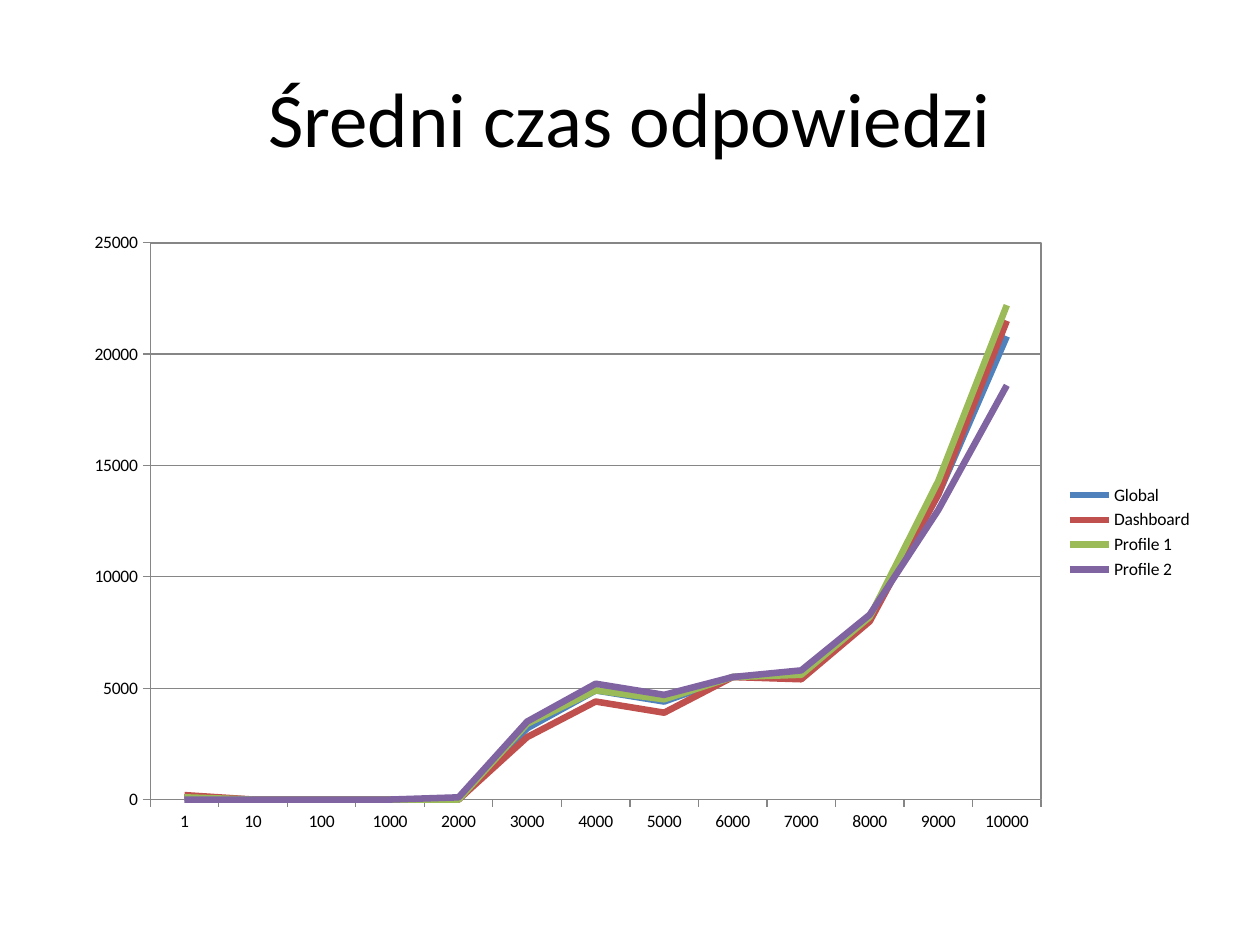
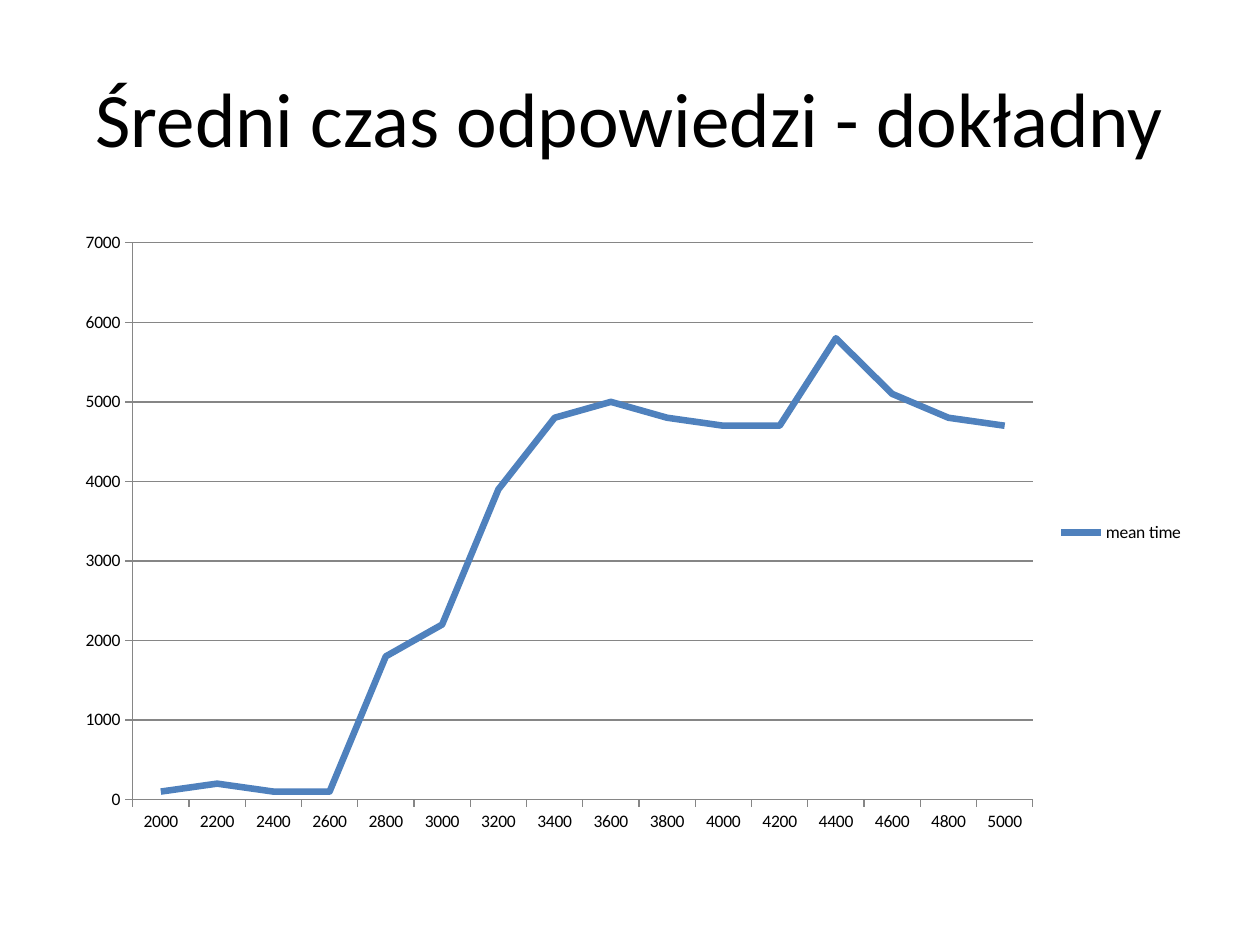
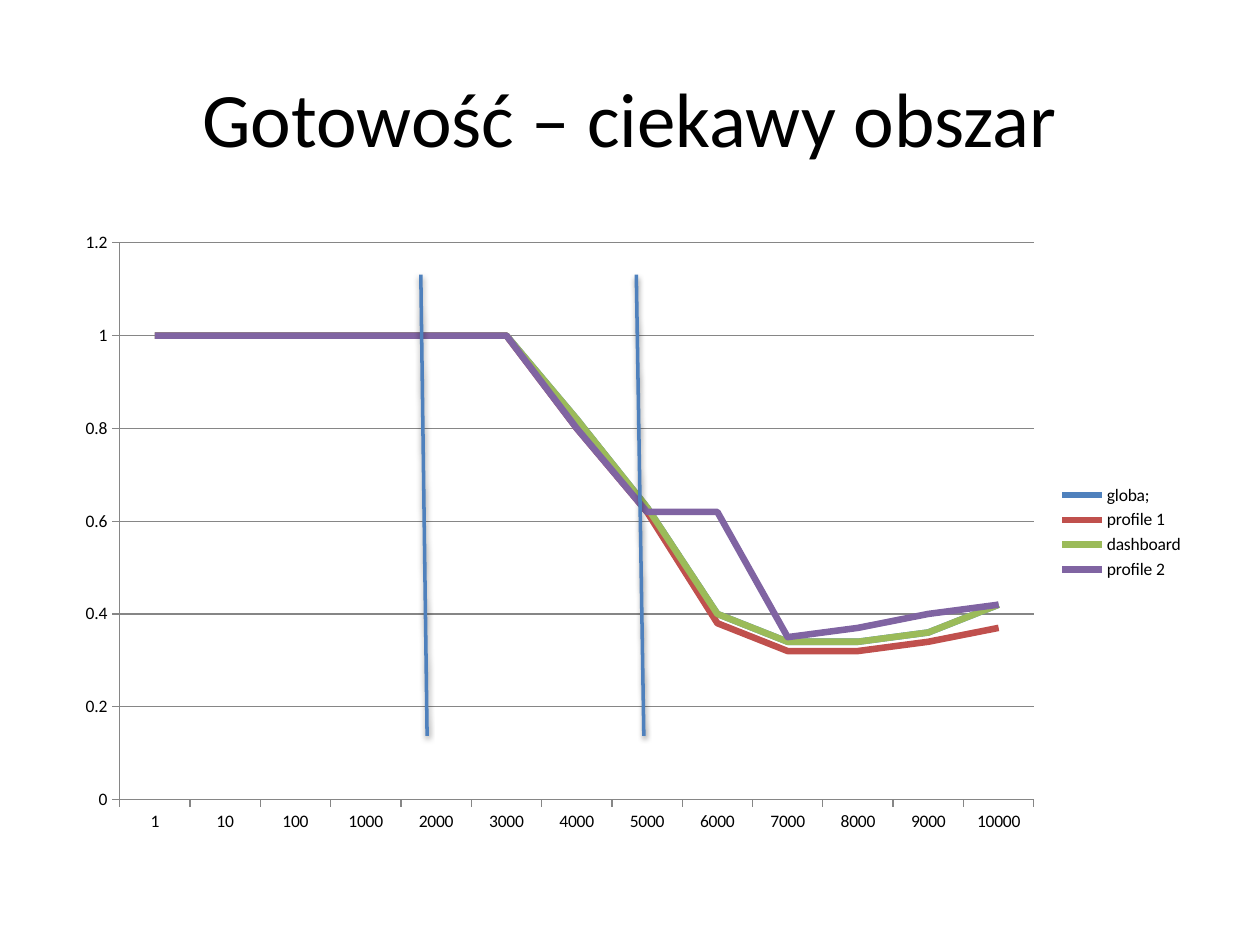
import pptx
import pptx.util
import pptx.chart.data
import pptx.dml.color
import pptx.enum.chart
import pptx.enum.shapes
import pptx.enum.text
import pptx.oxml
import pptx.oxml.ns
from pptx.util import Inches

COLORS = {"text": "000000", "axis": "868686", "blue": "4F81BD", "red": "C0504D",
          "green": "9BBB59", "purple": "8064A2"}
SERIES_COLORS = ["blue", "red", "green", "purple"]
FONT = "Calibri"
TITLE_BOX = (0.5, 0.3, 9, 1.25)
CHART_BOX = (0.5, 1.75, 9, 4.95)
LOADS = [1, 10, 100] + list(range(1000, 10001, 1000))
DETAIL_LOADS = list(range(2000, 5001, 200))


def rgb(name):
    return pptx.dml.color.RGBColor.from_string(COLORS[name])


def style_font(font, size, color="text"):
    font.name = FONT
    font.size = pptx.util.Pt(size)
    font.bold = False
    font.color.rgb = rgb(color)


def style_line(line, color, width):
    line.color.rgb = rgb(color)
    line.width = pptx.util.Pt(width)


def add_text(s, box, text, size=44, align=pptx.enum.text.PP_ALIGN.CENTER):
    tf = s.shapes.add_textbox(*map(Inches, box)).text_frame
    tf.word_wrap = True
    tf.vertical_anchor = pptx.enum.text.MSO_ANCHOR.MIDDLE
    p = tf.paragraphs[0]
    p.alignment = align
    r = p.add_run()
    r.text = text
    style_font(r.font, size)


def frame_plot(chart):
    area = chart.element.find(".//" + pptx.oxml.ns.qn("c:plotArea"))
    area.append(pptx.oxml.parse_xml(
        f'<c:spPr {pptx.oxml.ns.nsdecls("c", "a")}><a:noFill/><a:ln w="9525"><a:solidFill>'
        f'<a:srgbClr val="{COLORS["axis"]}"/></a:solidFill></a:ln></c:spPr>'))


def add_line_chart(s, box, cats, series, top, step, framed=False):
    data = pptx.chart.data.CategoryChartData()
    data.categories = cats
    for name, vals in series.items():
        data.add_series(name, vals)
    chart = s.shapes.add_chart(pptx.enum.chart.XL_CHART_TYPE.LINE,
                               *map(Inches, box), data).chart
    chart.has_title = False
    style_font(chart.font, 10)
    chart.has_legend = True
    chart.legend.position = pptx.enum.chart.XL_LEGEND_POSITION.RIGHT
    chart.legend.include_in_layout = False
    plot = chart.plots[0]
    plot.vary_by_categories = False
    for ser, color in zip(plot.series, SERIES_COLORS):
        ser.smooth = False
        ser.marker.style = pptx.enum.chart.XL_MARKER_STYLE.NONE
        style_line(ser.format.line, color, 3.75)
    for axis in (chart.category_axis, chart.value_axis):
        axis.major_tick_mark = pptx.enum.chart.XL_TICK_MARK.OUTSIDE
        style_line(axis.format.line, "axis", 0.75)
    values = chart.value_axis
    values.minimum_scale, values.maximum_scale, values.major_unit = 0, top, step
    values.has_major_gridlines = True
    style_line(values.major_gridlines.format.line, "axis", 0.75)
    if framed:
        frame_plot(chart)


def add_range_marker(s, box, left, right):
    x, y = box[0], box[1]
    line = s.shapes.add_connector(
        pptx.enum.shapes.MSO_CONNECTOR.STRAIGHT,
        Inches(x + left), Inches(y + 0.43), Inches(x + right), Inches(y + 4.09))
    style_line(line.line, "blue", 2)
    line._element.spPr.append(pptx.oxml.parse_xml(
        f'<a:effectLst {pptx.oxml.ns.nsdecls("a")}>'
        '<a:outerShdw blurRad="40000" dist="20000" dir="5400000" rotWithShape="0">'
        '<a:srgbClr val="000000"><a:alpha val="38000"/></a:srgbClr>'
        '</a:outerShdw></a:effectLst>'))


def chart_slide(prs, title, cats, series, top, step, box=CHART_BOX, framed=False, markers=()):
    s = prs.slides.add_slide(prs.slide_layouts[6])
    add_text(s, TITLE_BOX, title)
    add_line_chart(s, box, cats, series, top, step, framed)
    for left, right in markers:
        add_range_marker(s, box, left, right)


prs = pptx.Presentation()
prs.slide_width, prs.slide_height = Inches(10), Inches(7.5)

chart_slide(prs, "Średni czas odpowiedzi", LOADS, {
    "Global": [100, 0, 0, 0, 0, 3200, 4900, 4400, 5500, 5600, 8200, 13700, 20800],
    "Dashboard": [200, 0, 0, 0, 0, 2800, 4400, 3900, 5500, 5400, 8000, 13700, 21500],
    "Profile 1": [100, 0, 0, 0, 0, 3400, 4900, 4500, 5500, 5600, 8200, 14300, 22200],
    "Profile 2": [0, 0, 0, 0, 100, 3500, 5200, 4700, 5500, 5800, 8300, 13000, 18600],
}, 25000, 5000, box=(0.57, *CHART_BOX[1:]), framed=True)

chart_slide(prs, "Średni czas odpowiedzi - dokładny", DETAIL_LOADS, {
    "mean time": [100, 200, 100, 100, 1800, 2200, 3900, 4800,
                  5000, 4800, 4700, 4700, 5800, 5100, 4800, 4700],
}, 7000, 1000)

ready = [1] * 6
overall = ready + [0.82, 0.63, 0.4, 0.34, 0.34, 0.36, 0.42]
chart_slide(prs, "Gotowość – ciekawy obszar", LOADS, {
    "globa;": overall,
    "profile 1": ready + [0.8, 0.62, 0.38, 0.32, 0.32, 0.34, 0.37],
    "dashboard": overall,
    "profile 2": ready + [0.8, 0.62, 0.62, 0.35, 0.37, 0.4, 0.42],
}, 1.2, 0.2, markers=[(2.84, 2.89), (4.55, 4.61)])

prs.save("out.pptx")
